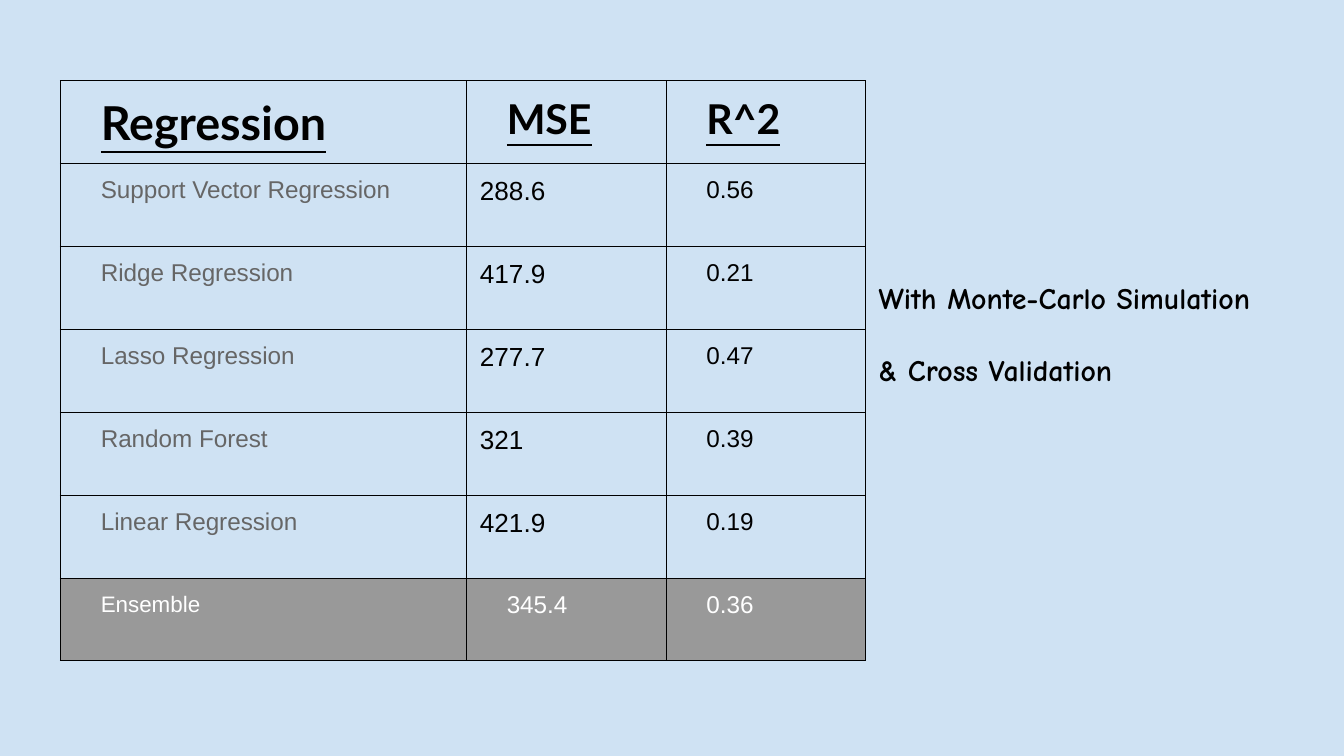
"""Build a slide that compares regression models by MSE and R^2."""
from pptx import Presentation
from pptx.dml.color import RGBColor as Color
from pptx.oxml.ns import qn
from pptx.util import Pt
from lxml.etree import SubElement, Element

SKY = Color(0xCF, 0xE2, 0xF3)
BLACK = Color(0, 0, 0)
SLATE = Color(0x66, 0x66, 0x66)
GRAY = Color(0x99, 0x99, 0x99)
WHITE = Color(0xFF, 0xFF, 0xFF)

INSET = 7.2
INDENT = 14.4
COLUMN_WIDTHS = (217.5, 107, 107)
HEADER_HEIGHT, MODEL_HEIGHT, ENSEMBLE_HEIGHT = 43.5, 44.5, 44

HEADINGS = ("Regression", "MSE", "R^2")
MODELS = (
    ("Support Vector Regression", "288.6", "0.56"),
    ("Ridge Regression", "417.9", "0.21"),
    ("Lasso Regression", "277.7", "0.47"),
    ("Random Forest", "321", "0.39"),
    ("Linear Regression", "421.9", "0.19"),
)
ENSEMBLE = ("Ensemble", "345.4", "0.36")

HEADING_FORMATS = [dict(size=size, font="Lato", bold=True, underline=True)
                   for size in (25, 22, 22)]
MODEL_FORMATS = [dict(color=SLATE, after=16), dict(size=14, indent=0), {}]
ENSEMBLE_FORMATS = [dict(size=12, color=WHITE, after=16),
                    dict(color=WHITE), dict(color=WHITE)]


def write(paragraph, text, size=13, font="Arial", color=BLACK, bold=False,
          underline=False, indent=INDENT, before=None, after=None):
    properties = paragraph._p.get_or_add_pPr()
    properties.set("marL", str(Pt(indent)))
    properties.set("indent", "0")
    if before is not None:
        paragraph.space_before = Pt(before)
    if after is not None:
        paragraph.space_after = Pt(after)
    run = paragraph.add_run()
    run.text = text
    run.font.name = font
    run.font.size = Pt(size)
    run.font.bold = bold
    run.font.underline = underline
    run.font.color.rgb = color


class Deck:
    def __init__(self, width, height, background):
        self.presentation = Presentation()
        self.presentation.slide_width = Pt(width)
        self.presentation.slide_height = Pt(height)
        self.slide = self.presentation.slides.add_slide(
            self.presentation.slide_layouts[6])
        self.slide.background.fill.solid()
        self.slide.background.fill.fore_color.rgb = background

    def pad(self, area):
        area.margin_left = area.margin_right = Pt(INSET)
        area.margin_top = area.margin_bottom = Pt(INSET)

    def border(self, cell, color=BLACK, width=0.75):
        properties = cell._tc.get_or_add_tcPr()
        for position, side in enumerate(("lnL", "lnR", "lnT", "lnB")):
            line = Element(qn(f"a:{side}"), w=str(Pt(width)))
            fill = SubElement(line, qn("a:solidFill"))
            SubElement(fill, qn("a:srgbClr"), val=str(color))
            properties.insert(position, line)

    def table(self, left, top, widths, rows):
        heights = [height for height, *_ in rows]
        grid = self.slide.shapes.add_table(
            len(rows), len(widths), Pt(left), Pt(top),
            Pt(sum(widths)), Pt(sum(heights))).table
        grid.first_row = grid.horz_banding = False
        for column, width in zip(grid.columns, widths):
            column.width = Pt(width)
        for row, (height, texts, formats, shade) in zip(grid.rows, rows):
            row.height = Pt(height)
            for cell, text, style in zip(row.cells, texts, formats):
                self.pad(cell)
                if shade is None:
                    cell.fill.background()
                else:
                    cell.fill.solid()
                    cell.fill.fore_color.rgb = shade
                self.border(cell)
                write(cell.text_frame.paragraphs[0], text, **style)

    def note(self, left, top, width, height, lines, gap):
        frame = self.slide.shapes.add_textbox(
            Pt(left), Pt(top), Pt(width), Pt(height)).text_frame
        frame.word_wrap = True
        self.pad(frame)
        for number, line in enumerate(lines):
            paragraph = frame.add_paragraph() if number else frame.paragraphs[0]
            write(paragraph, line, size=16, font="Comic Neue", bold=True,
                  before=gap if number else None)


def main():
    deck = Deck(720, 405, SKY)
    rows = [(HEADER_HEIGHT, HEADINGS, HEADING_FORMATS, None)]
    rows += [(MODEL_HEIGHT, model, MODEL_FORMATS, None) for model in MODELS]
    rows.append((ENSEMBLE_HEIGHT, ENSEMBLE, ENSEMBLE_FORMATS, GRAY))
    deck.table(32.4, 43.2, COLUMN_WIDTHS, rows)
    deck.note(449.3, 142.6, 485.3, 56.9,
              ("With Monte-Carlo Simulation", "& Cross Validation"), gap=19.5)
    deck.presentation.save("out.pptx")


if __name__ == "__main__":
    main()
